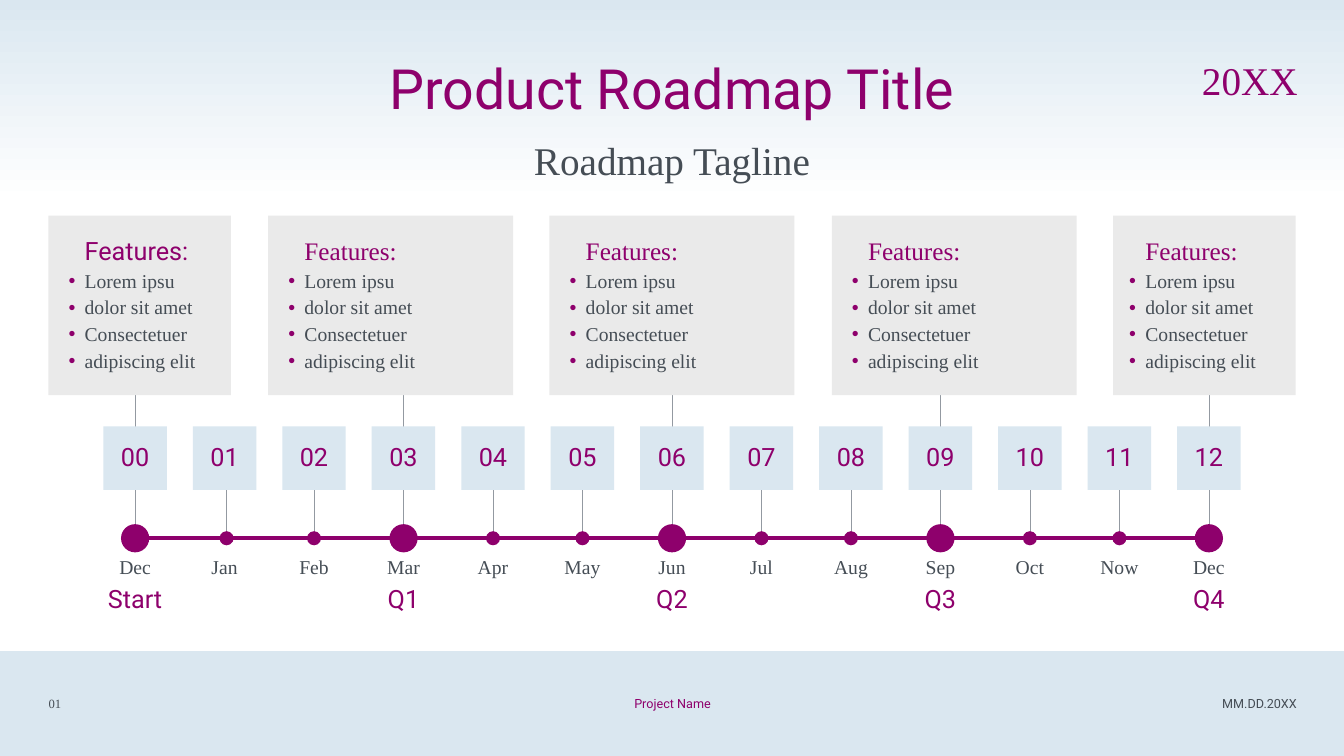
from lxml.etree import SubElement
from pptx import Presentation
from pptx.dml.color import RGBColor
from pptx.enum.shapes import MSO_CONNECTOR, MSO_SHAPE
from pptx.enum.text import MSO_ANCHOR, PP_ALIGN
from pptx.oxml.ns import qn
from pptx.util import Inches, Pt

PLUM, SLATE, GRAY = "8E006C", "454D55", "9399A1"
PALE_BLUE, PALE_GRAY, WHITE = "DAE7F0", "EAEAEA", "FFFFFF"
SANS, SERIF = "Roboto", "Times New Roman"
NO_INSETS = (0, 0, 0, 0)
INSETS = (0.1, 0.05, 0.1, 0.05)

MONTHS = ["Dec", "Jan", "Feb", "Mar", "Apr", "May", "Jun",
          "Jul", "Aug", "Sep", "Oct", "Now", "Dec"]
QUARTERS = ["Start", "Q1", "Q2", "Q3", "Q4"]
FEATURES = ["Lorem ipsu", "dolor sit amet", "Consectetuer", "adipiscing elit"]
# Left, width, left inset and heading font of each feature card
CARDS = [(0.48, 1.81, 0.2, SANS), (2.66, 2.43, 0.2, SERIF), (5.45, 2.43, 0.2, SERIF),
         (8.25, 2.43, 0.2, SERIF), (11.04, 1.81, 0.16, SERIF)]


def color(value):
    return RGBColor.from_string(value)


def add_box(slide, box, fill, kind=MSO_SHAPE.RECTANGLE):
    shape = slide.shapes.add_shape(kind, *map(Inches, box))
    shape.shadow.inherit = False
    shape.fill.solid()
    shape.fill.fore_color.rgb = color(fill)
    shape.line.fill.background()
    return shape


def add_line(slide, start, end, line_color, width):
    line = slide.shapes.add_connector(MSO_CONNECTOR.STRAIGHT, *map(Inches, start + end))
    line.line.color.rgb = color(line_color)
    line.line.width = Pt(width)
    SubElement(line._element.spPr, qn("a:effectLst"))


def set_frame(shape, insets, anchor=MSO_ANCHOR.MIDDLE):
    frame = shape.text_frame
    frame.word_wrap = True
    frame.vertical_anchor = anchor
    frame.margin_left, frame.margin_top, frame.margin_right, frame.margin_bottom = map(Inches, insets)
    return frame


def write(paragraph, text, size, font, text_color, align, before=10, spacing=0.9):
    paragraph.alignment = align
    paragraph.space_before = Pt(before)
    paragraph.line_spacing = spacing
    run = paragraph.add_run()
    run.text = text
    run.font.size = Pt(size)
    run.font.name = font
    run.font.color.rgb = color(text_color)


def add_label(slide, box, text, size, font, text_color, align=PP_ALIGN.CENTER,
              insets=NO_INSETS, anchor=MSO_ANCHOR.MIDDLE, before=10, spacing=0.9):
    label = slide.shapes.add_textbox(*map(Inches, box))
    frame = set_frame(label, insets, anchor)
    write(frame.paragraphs[0], text, size, font, text_color, align, before, spacing)


def indent(paragraph, bulleted):
    properties = paragraph._p.get_or_add_pPr()
    properties.set("marL", str(Inches(0.16)))
    properties.set("indent", str(Inches(-0.16 if bulleted else 0)))
    if bulleted:
        bullet_color = SubElement(properties, qn("a:buClr"))
        SubElement(bullet_color, qn("a:srgbClr")).set("val", PLUM)
        SubElement(properties, qn("a:buFont")).set("typeface", "Arial")
        SubElement(properties, qn("a:buChar")).set("char", "•")


def add_header(slide, left, top, width, height):
    # Fading band
    band = add_box(slide, (left, top, width, height), PALE_BLUE)
    band.fill.gradient()
    band.fill.gradient_angle = 270
    for stop, value in zip(band.fill.gradient_stops, (PALE_BLUE, WHITE)):
        stop.color.rgb = color(value)
    # Title, tagline and year
    text_left = left + (width - 10) / 2
    add_label(slide, (text_left, top + 0.57, 10, 0.75), "Product Roadmap Title", 39.6,
              SANS, PLUM, insets=INSETS, anchor=MSO_ANCHOR.TOP, before=0)
    add_label(slide, (text_left, top + 1.37, 10, 0.54), "Roadmap Tagline", 28,
              SERIF, SLATE, insets=INSETS, anchor=MSO_ANCHOR.TOP)
    add_label(slide, (left + width - 1.51, top + 0.53, 1.05, 0.6), "20XX", 28,
              SERIF, PLUM, PP_ALIGN.RIGHT)


def add_card(slide, left, top, width, height, inset, heading_font):
    card = add_box(slide, (left, top, width, height), PALE_GRAY)
    frame = set_frame(card, (inset, 0.05, 0.1, 0.05))
    heading = frame.paragraphs[0]
    write(heading, "Features:", 18, heading_font, PLUM, PP_ALIGN.LEFT, before=4)
    indent(heading, False)
    for feature in FEATURES:
        item = frame.add_paragraph()
        write(item, feature, 14, SERIF, SLATE, PP_ALIGN.LEFT, before=4)
        indent(item, True)


def add_timeline(slide, left, top, width, height):
    """Month axis whose stems start at top; left and width span the first to last dot."""
    axis = top + 1.42
    step = width / (len(MONTHS) - 1)
    add_line(slide, (left, axis), (left + width, axis), PLUM, 2.84)
    for index, month in enumerate(MONTHS):
        center = left + index * step
        quarter_start = index % 3 == 0
        # Stem and dot; the January pair sits slightly right of its month
        stem = center + (0.02 if index == 1 else 0)
        stem_top = top if quarter_start else top + 0.94
        dot = 0.28 if quarter_start else 0.14
        add_line(slide, (stem, axis), (stem, stem_top), GRAY, 0.5)
        add_box(slide, (stem - dot / 2, axis - dot / 2, dot, dot), PLUM, MSO_SHAPE.OVAL)
        # Numbered tile
        tile = add_box(slide, (center - 0.315, top + 0.31, 0.63, 0.63), PALE_BLUE)
        write(set_frame(tile, INSETS).paragraphs[0], f"{index:02d}", 18, SANS, PLUM,
              PP_ALIGN.CENTER)
        # Month and quarter names
        label_left = center - 0.365
        add_label(slide, (label_left, top + 1.57, 0.73, 0.29), month, 14, SERIF, SLATE)
        if quarter_start:
            add_label(slide, (label_left, top + height - 0.29, 0.73, 0.29),
                      QUARTERS[index // 3], 18, SANS, PLUM)


def add_footer(slide, left, top, width, height):
    add_box(slide, (left, top, width, height), PALE_BLUE)
    parts = [
        (0.31, 0.47, "01", SERIF, SLATE, PP_ALIGN.CENTER),
        (4.42, 4.5, "Project Name", SANS, PLUM, PP_ALIGN.CENTER),
        (9.96, 3, "MM.DD.20XX", SANS, SLATE, PP_ALIGN.RIGHT),
    ]
    for offset, part_width, text, font, text_color, align in parts:
        add_label(slide, (left + offset, top + 0.32, part_width, 0.4), text, 9, font,
                  text_color, align, INSETS, before=0, spacing=1.0)


def main():
    presentation = Presentation()
    presentation.slide_width = Inches(13.33)
    presentation.slide_height = Inches(7.5)
    slide = presentation.slides.add_slide(presentation.slide_layouts[6])
    add_header(slide, 0, -0.01, 13.33, 2.01)
    add_timeline(slide, 1.34, 3.92, 10.65, 2.18)
    for left, width, inset, heading_font in CARDS:
        add_card(slide, left, 2.14, width, 1.78, inset, heading_font)
    add_footer(slide, 0, 6.46, 13.33, 1.04)
    presentation.save("out.pptx")


if __name__ == "__main__":
    main()
